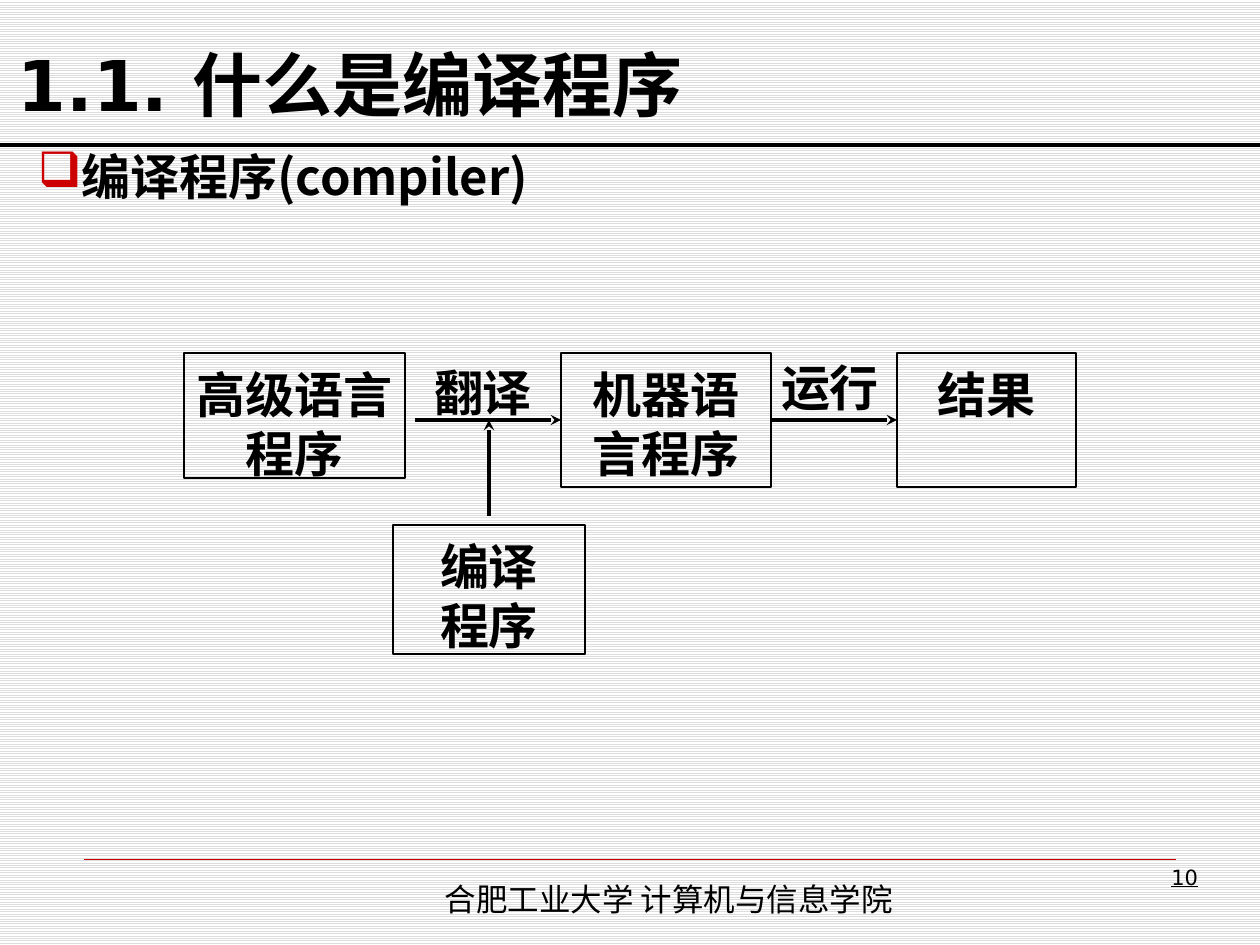
from pptx import Presentation
from pptx.dml.color import RGBColor
from pptx.enum.dml import MSO_PATTERN
from pptx.enum.shapes import MSO_CONNECTOR, MSO_SHAPE
from pptx.enum.text import MSO_ANCHOR, PP_ALIGN
from pptx.oxml.ns import qn
from pptx.util import Pt
from lxml import etree

PX = 914400 // 126
LEFT, CENTER, RIGHT = PP_ALIGN.LEFT, PP_ALIGN.CENTER, PP_ALIGN.RIGHT
TOP, MIDDLE, BOTTOM = MSO_ANCHOR.TOP, MSO_ANCHOR.MIDDLE, MSO_ANCHOR.BOTTOM
CJK, SANS, SERIF = "Noto Sans CJK SC", "DejaVu Sans", "Times New Roman"
COLORS = {"ink": "000000", "accent": "CC0000", "stripe": "DDDDDD", "paper": "FFFFFF"}

# name: (left, top, width, height), paragraphs, font
BOXES = {
    "source": ((184, 353, 221, 125), ["高级语言程序"], CJK),
    "machine": ((561, 353, 210, 134), ["机器语言程序"], CJK),
    "result": ((897, 353, 179, 134), ["结果"], SERIF),
    "compiler": ((393, 525, 192, 129), ["编译", "程序"], CJK),
}
LABELS = [((404, 353, 158, 77), "翻译"), ((751, 344, 158, 86), "运行")]
# start, end, (box, side) at the start, (box, side) at the end
ARROWS = [
    ((415, 420), (561, 420), None, ("machine", 1)),
    ((771, 420), (897, 420), ("machine", 3), ("result", 1)),
    ((489, 516), (489, 420), None, None),
]
RULES = [((84, 859), (1176, 859), "accent", 0.25), ((0, 145), (1260, 145), "ink", 2.25)]


def px(*values):
    return [v * PX for v in values]


def rgb(name):
    return RGBColor.from_string(COLORS[name])


def set_text(s, paragraphs, size, font, bold=True, align=LEFT, anchor=TOP,
             wrap=True, insets=(13, 6, 13, 6), spacing=None):
    """Fill the shape's text frame; insets are left, top, right, bottom in px."""
    tf = s.text_frame
    tf.word_wrap = wrap
    tf.vertical_anchor = anchor
    tf.margin_left, tf.margin_top, tf.margin_right, tf.margin_bottom = px(*insets)
    for i, text in enumerate(paragraphs):
        p = tf.paragraphs[0] if i == 0 else tf.add_paragraph()
        p.alignment = align
        if spacing:
            p.line_spacing = Pt(spacing)
        r = p.add_run()
        r.text = text
        r.font.size = Pt(size)
        r.font.bold = bold
        r.font.name = font
        r.font.color.rgb = rgb("ink")
        etree.SubElement(r.font._element, qn("a:ea"), typeface=CJK)
    return tf.paragraphs[0]


def add_text(shapes, at, text, size, font, **options):
    return set_text(shapes.add_textbox(*px(*at)), [text], size, font, **options)


def add_line(shapes, start, end, color, width):
    c = shapes.add_connector(MSO_CONNECTOR.STRAIGHT, *px(*start, *end))
    c.line.color.rgb = rgb(color)
    c.line.width = Pt(width)
    etree.SubElement(c._element.spPr, qn("a:effectLst"))
    return c


def add_bullet(p, char, indent):
    pPr = p._p.get_or_add_pPr()
    pPr.set("marL", str(indent * PX))
    pPr.set("indent", str(-indent * PX))
    color = etree.SubElement(pPr, qn("a:buClr"))
    etree.SubElement(color, qn("a:srgbClr"), val=COLORS["accent"])
    etree.SubElement(pPr, qn("a:buChar"), char=char)


def main():
    prs = Presentation()
    prs.slide_width, prs.slide_height = px(1260, 945)
    slide = prs.slides.add_slide(prs.slide_layouts[6])
    fill = slide.background.fill
    fill.patterned()
    fill.pattern = MSO_PATTERN.LIGHT_HORIZONTAL
    fill.fore_color.rgb = rgb("stripe")
    fill.back_color.rgb = rgb("paper")
    shapes = slide.shapes

    for rule in RULES:
        add_line(shapes, *rule)
    add_text(shapes, (5, 20, 1071, 105), "1.1. 什么是编译程序", 40, SANS,
             anchor=BOTTOM, insets=(13, 6, 13, 0))
    p = add_text(shapes, (25, 146, 1235, 130), "编译程序(compiler)", 28, CJK,
                 insets=(13, 0, 13, 6))
    add_bullet(p, "❑", 39)

    boxes = {}
    for name, (at, paragraphs, font) in BOXES.items():
        s = boxes[name] = shapes.add_shape(MSO_SHAPE.RECTANGLE, *px(*at))
        s.shadow.inherit = False
        s.fill.background()
        s.line.color.rgb = rgb("ink")
        s.line.width = Pt(0.75)
        set_text(s, paragraphs, 28, font, align=CENTER,
                 insets=(10, 11, 10, 0), spacing=33.7)

    for start, end, tail, head in ARROWS:
        c = add_line(shapes, start, end, "ink", 2)
        etree.SubElement(c.line._get_or_add_ln(), qn("a:tailEnd"), type="stealth")
        if tail:
            c.begin_connect(boxes[tail[0]], tail[1])
        if head:
            c.end_connect(boxes[head[0]], head[1])
    for at, text in LABELS:
        add_text(shapes, at, text, 28, SERIF, align=CENTER, anchor=MIDDLE, wrap=False)

    add_text(shapes, (432, 878, 605, 50), "合肥工业大学 计算机与信息学院", 18, CJK,
             bold=False, insets=(13, 2, 13, 6))
    p = add_text(shapes, (937, 859, 274, 66), "10", 12, SANS, bold=False, align=RIGHT)
    p.runs[0].font.underline = True
    prs.save("out.pptx")


if __name__ == "__main__":
    main()
